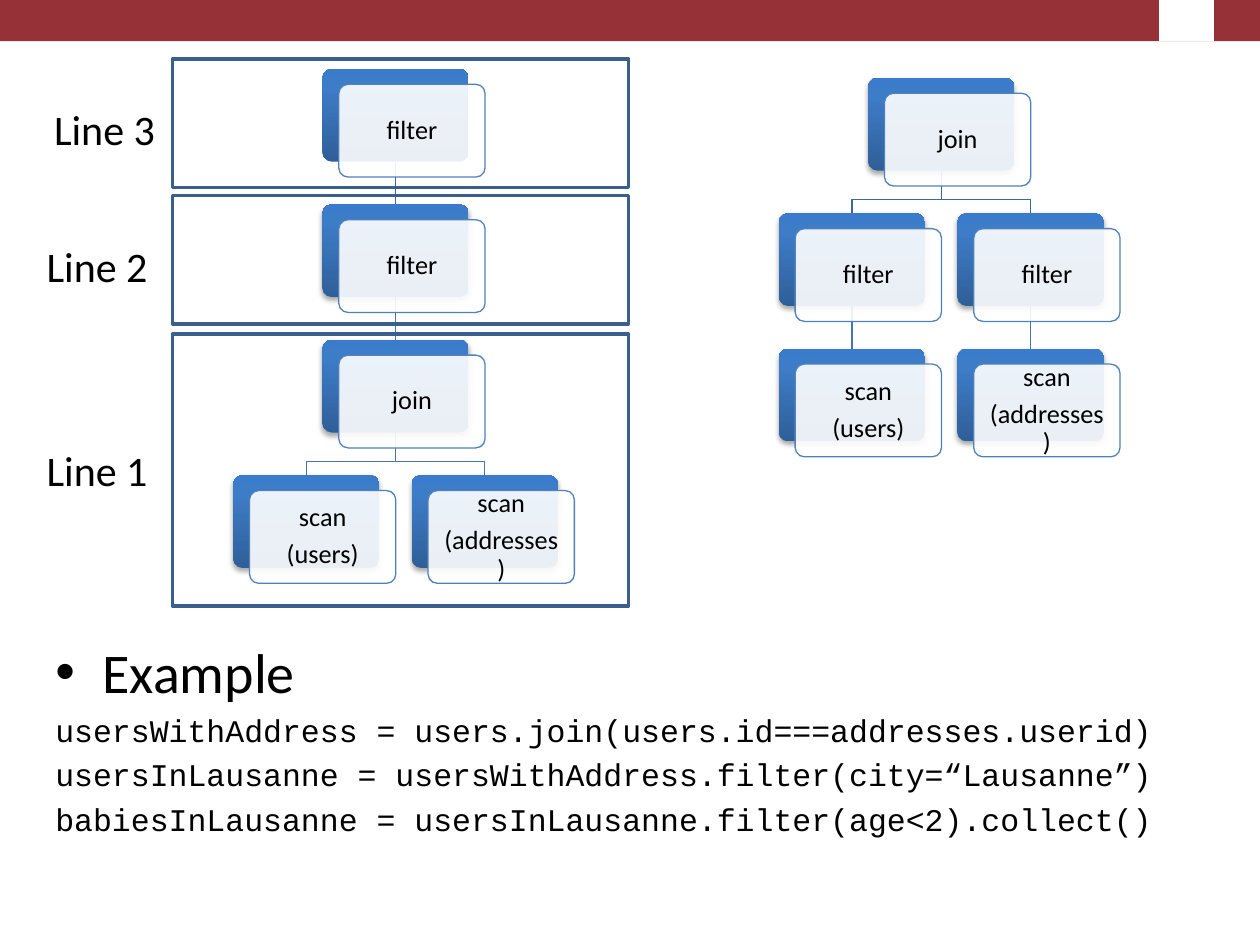
from dataclasses import dataclass

from lxml.etree import SubElement
from pptx import Presentation
from pptx.dml.color import RGBColor
from pptx.enum.shapes import MSO_CONNECTOR, MSO_SHAPE
from pptx.enum.text import MSO_ANCHOR, MSO_AUTO_SIZE, PP_ALIGN
from pptx.oxml import parse_xml
from pptx.oxml.ns import nsdecls, qn
from pptx.util import Cm, Pt

BLACK = RGBColor(0x00, 0x00, 0x00)
WHITE = RGBColor(0xFF, 0xFF, 0xFF)
BANNER_RED = RGBColor(0x96, 0x32, 0x37)
FRAME_BLUE = RGBColor(0x3A, 0x5F, 0x8C)
CARD_EDGE = RGBColor(0x4F, 0x81, 0xBD)
BRANCH_TOP = RGBColor(0x3F, 0x67, 0x97)
BRANCH_LOWER = RGBColor(0x48, 0x75, 0xAC)
CARD_STOPS = ((0, RGBColor(0x2F, 0x5F, 0x99)), (80, RGBColor(0x3D, 0x7C, 0xC7)),
              (100, RGBColor(0x3A, 0x7C, 0xCB)))

# Tree grid, in centimetres
CARD_WIDTH, CARD_HEIGHT = 2.95, 1.87
FRONT_DX, FRONT_DY = 0.33, 0.31
HALF_STEP, LEVEL_STEP = 1.8, 2.73
BEND = 0.58


@dataclass
class Node:
    text: str
    column: int  # half steps from the root
    level: int
    parent: int | None = None
    shadow: bool = True


@dataclass
class Stage:
    label: str
    label_left: float
    label_top: float
    top: float
    height: float


PLAN_BY_LINE = [
    Node("filter", 0, 0, shadow=False),
    Node("filter", 0, 1, 0),
    Node("join", 0, 2, 1),
    Node("scan\n(users)", -1, 3, 2),
    Node("scan\n(addresses)", 1, 3, 2),
]
PUSHED_DOWN_PLAN = [
    Node("join", 0, 0),
    Node("filter", -1, 1, 0),
    Node("scan\n(users)", -1, 2, 1),
    Node("filter", 1, 1, 0),
    Node("scan\n(addresses)", 1, 2, 3),
]
STAGES = [
    Stage("Line 1", 0.69, 8.84, 6.73, 5.49),
    Stage("Line 2", 0.69, 4.72, 3.94, 2.59),
    Stage("Line 3", 0.84, 1.96, 1.19, 2.59),
]
CODE = [
    "usersWithAddress = users.join(users.id===addresses.userid)",
    "usersInLausanne = usersWithAddress.filter(city=“Lausanne”)",
    "babiesInLausanne = usersInLausanne.filter(age<2).collect()",
]


def style_text(para, size: float, font: str = "Calibri") -> None:
    for span in para.runs:
        span.font.size = Pt(size)
        span.font.name = font
        span.font.color.rgb = BLACK


def add_block(page, kind, left, top, width, height, fill=None, edge=None, weight=0.75):
    block = page.shapes.add_shape(kind, Cm(left), Cm(top), Cm(width), Cm(height))
    block.shadow.inherit = False
    if fill is None:
        block.fill.background()
    else:
        block.fill.solid()
        block.fill.fore_color.rgb = fill
    if edge is None:
        block.line.fill.background()
    else:
        block.line.color.rgb = edge
        block.line.width = Pt(weight)
    return block


def add_back_card(page, left: float, top: float, shadow: bool):
    card = add_block(page, MSO_SHAPE.ROUNDED_RECTANGLE, left, top, CARD_WIDTH, CARD_HEIGHT)
    card.adjustments[0] = 0.1
    properties = card.element.spPr
    stops = "".join(f'<a:gs pos="{at * 1000}"><a:srgbClr val="{color}"/></a:gs>'
                    for at, color in CARD_STOPS)
    gradient = parse_xml(f'<a:gradFill {nsdecls("a")}><a:gsLst>{stops}</a:gsLst>'
                         '<a:lin ang="16200000" scaled="0"/></a:gradFill>')
    properties.replace(properties.find(qn("a:noFill")), gradient)
    if shadow:
        properties.find(qn("a:effectLst")).append(parse_xml(
            f'<a:outerShdw {nsdecls("a")} blurRad="{Pt(3.1)}" dist="{Pt(1.8)}" dir="5400000"'
            ' rotWithShape="0"><a:srgbClr val="000000"><a:alpha val="35000"/></a:srgbClr>'
            '</a:outerShdw>'))
    return card


def add_front_card(page, left: float, top: float, text: str) -> None:
    card = add_block(page, MSO_SHAPE.ROUNDED_RECTANGLE, left, top, CARD_WIDTH, CARD_HEIGHT,
                     WHITE, CARD_EDGE)
    card.adjustments[0] = 0.1
    color = card.element.spPr.find(qn("a:solidFill")).find(qn("a:srgbClr"))
    SubElement(color, qn("a:alpha"), val="90000")
    frame = card.text_frame
    frame.text = text
    frame.word_wrap = True
    frame.vertical_anchor = MSO_ANCHOR.MIDDLE
    frame.margin_left = frame.margin_right = Cm(0.2)
    frame.margin_top = frame.margin_bottom = Cm(0.2)
    for para in frame.paragraphs:
        para.alignment = PP_ALIGN.CENTER
        para.line_spacing = 0.9
        para.space_after = Pt(5)
        style_text(para, 15)


def add_branch(page, upper, lower):
    """Join two back cards, straight or with a bend."""
    start_x, start_y = upper.left + upper.width // 2, upper.top + upper.height
    end_x, end_y = lower.left + lower.width // 2, lower.top
    if start_x == end_x:
        branch = page.shapes.add_connector(MSO_CONNECTOR.STRAIGHT, start_x, start_y, end_x, end_y)
        branch.begin_connect(upper, 2)
        branch.end_connect(lower, 0)
        SubElement(branch.element.spPr, qn("a:effectLst"))
    else:
        bend_y = start_y + Cm(BEND)
        outline = page.shapes.build_freeform(start_x, start_y)
        outline.add_line_segments([(start_x, bend_y), (end_x, bend_y), (end_x, end_y)],
                                  close=False)
        branch = outline.convert_to_shape()
        branch.fill.background()
        branch.shadow.inherit = False
    return branch


def add_tree(page, left: float, top: float, nodes: list[Node]) -> None:
    cards = []
    for node in nodes:
        x, y = left + node.column * HALF_STEP, top + node.level * LEVEL_STEP
        cards.append(add_back_card(page, x, y, node.shadow))
        add_front_card(page, x + FRONT_DX, y + FRONT_DY, node.text)
    for node, card in zip(nodes, cards):
        if node.parent is not None:
            branch = add_branch(page, cards[node.parent], card)
            branch.line.color.rgb = BRANCH_TOP if node.level == 1 else BRANCH_LOWER
            branch.line.width = Pt(0.75)
            cards[0].element.addprevious(branch.element)  # behind the cards


def add_stage(page, stage: Stage) -> None:
    add_block(page, MSO_SHAPE.RECTANGLE, 3.48, stage.top, 9.19, stage.height,
              edge=FRAME_BLUE, weight=2)
    box = page.shapes.add_textbox(Cm(stage.label_left), Cm(stage.label_top), Cm(2.57), Cm(1.27))
    box.text_frame.text = stage.label
    box.text_frame.word_wrap = False
    box.text_frame.auto_size = MSO_AUTO_SIZE.SHAPE_TO_FIT_TEXT
    style_text(box.text_frame.paragraphs[0], 24)


def fill_body(body) -> None:
    body.left, body.top, body.width, body.height = Cm(0.86), Cm(12.73), Cm(24.54), Cm(5.56)
    frame = body.text_frame
    frame.text = "\n".join(["Example", *CODE])
    frame.auto_size = MSO_AUTO_SIZE.NONE
    heading, *code_lines = frame.paragraphs
    heading.space_before = Pt(0)
    style_text(heading, 32)
    for para in code_lines:
        properties = para._p.get_or_add_pPr()
        properties.set("marL", "0")
        properties.set("indent", "0")
        SubElement(properties, qn("a:buNone"))
        style_text(para, 18, "Courier New")


def main() -> None:
    deck = Presentation()
    deck.slide_width, deck.slide_height = Cm(25.4), Cm(19.05)
    page = deck.slides.add_slide(deck.slide_layouts[1])
    title = page.shapes.title.element
    title.getparent().remove(title)

    # Banner with a plain block at the right
    add_block(page, MSO_SHAPE.RECTANGLE, 0, 0, 25.4, 0.83, BANNER_RED)
    add_block(page, MSO_SHAPE.RECTANGLE, 23.37, 0, 1.1, 0.83, WHITE)

    # Code example
    fill_body(page.placeholders[1])

    # Query plans and the lines they come from
    add_tree(page, 6.5, 1.39, PLAN_BY_LINE)
    add_tree(page, 17.5, 1.57, PUSHED_DOWN_PLAN)
    for stage in STAGES:
        add_stage(page, stage)

    deck.save("out.pptx")


if __name__ == "__main__":
    main()
